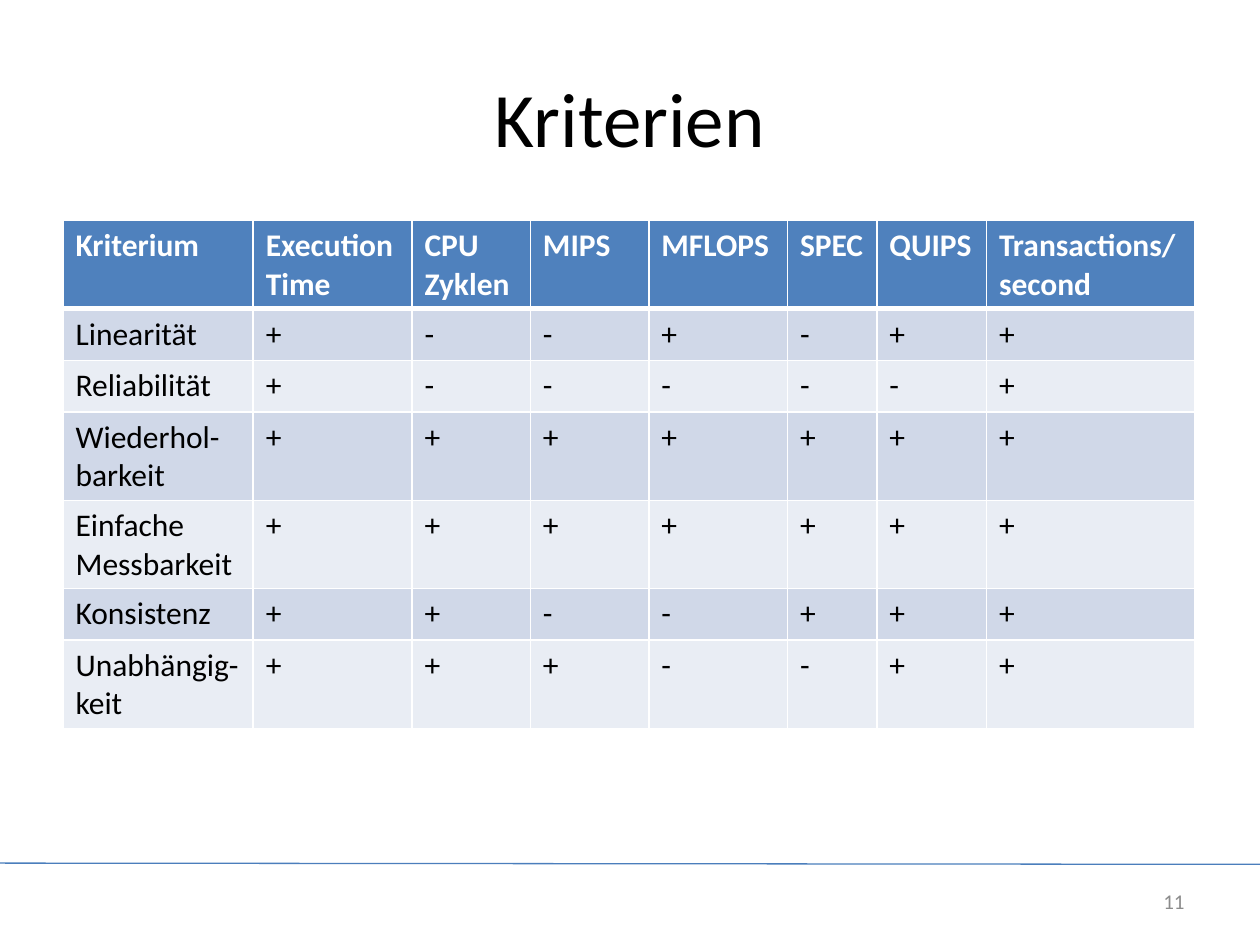
from lxml import etree
from pptx import Presentation
from pptx.dml.color import RGBColor
from pptx.enum.shapes import MSO_CONNECTOR as CONN
from pptx.enum.text import MSO_ANCHOR as ANCHOR, PP_ALIGN as ALIGN
from pptx.oxml.ns import qn
from pptx.util import Inches, Pt

FONT = "Calibri"
WHITE, BLACK = "FFFFFF", "000000"
HEADER_FILL = "4F81BD"
BAND_FILLS = ["D0D8E8", "E9EDF4"]
COL_WIDTHS = [1.51, 1.26, 0.94, 0.94, 1.1, 0.71, 0.87, 1.65]
ROW_HEIGHT = 0.41
HEADERS = ["Kriterium", "Execution Time", "CPU Zyklen", "MIPS", "MFLOPS",
           "SPEC", "QUIPS", "Transactions/second"]
RATINGS = [
    ("Linearität", "+--+-++"),
    ("Reliabilität", "+-----+"),
    ("Wiederhol-barkeit", "+++++++"),
    ("Einfache Messbarkeit", "+++++++"),
    ("Konsistenz", "++--+++"),
    ("Unabhängig-keit", "+++--++"),
]


def rgb(color):
    return RGBColor.from_string(color)


def add_run(p, text, size, color, bold=False):
    r = p.add_run()
    r.text = text
    r.font.name = FONT
    r.font.size = Pt(size)
    r.font.bold = bold
    r.font.color.rgb = rgb(color)


def add_text(s, x, y, w, h, text, size, color, align):
    tf = s.shapes.add_textbox(Inches(x), Inches(y), Inches(w), Inches(h)).text_frame
    tf.word_wrap = True
    tf.vertical_anchor = ANCHOR.MIDDLE
    p = tf.paragraphs[0]
    p.alignment = align
    add_run(p, text, size, color)


def add_line(s, x1, y1, x2, y2, color, width):
    line = s.shapes.add_connector(CONN.STRAIGHT, Inches(x1), Inches(y1),
                                  Inches(x2), Inches(y2))
    line.line.color.rgb = rgb(color)
    line.line.width = Pt(width)
    etree.SubElement(line._element.spPr, qn("a:effectLst"))


def set_borders(cell, color, top, bottom):
    tc_pr = cell._tc.get_or_add_tcPr()
    for side, width in (("L", 1), ("R", 1), ("T", top), ("B", bottom)):
        ln = etree.SubElement(tc_pr, qn(f"a:ln{side}"), w=str(Pt(width)))
        fill = etree.SubElement(ln, qn("a:solidFill"))
        etree.SubElement(fill, qn("a:srgbClr"), val=color)


def fill_cell(cell, text, row):
    header = row == 0
    set_borders(cell, WHITE, 3 if row == 1 else 1, 3 if header else 1)
    cell.fill.solid()
    cell.fill.fore_color.rgb = rgb(HEADER_FILL if header else BAND_FILLS[(row - 1) % 2])
    add_run(cell.text_frame.paragraphs[0], text, 18, WHITE if header else BLACK, header)


def add_criteria_table(s, x, y):
    rows = [HEADERS] + [[name, *marks] for name, marks in RATINGS]
    table = s.shapes.add_table(len(rows), len(HEADERS), Inches(x), Inches(y),
                               Inches(sum(COL_WIDTHS)),
                               Inches(ROW_HEIGHT * len(rows))).table
    for col, width in zip(table.columns, COL_WIDTHS):
        col.width = Inches(width)
    for i, texts in enumerate(rows):
        table.rows[i].height = Inches(ROW_HEIGHT)
        for j, text in enumerate(texts):
            fill_cell(table.cell(i, j), text, i)


def main():
    prs = Presentation()
    prs.slide_width, prs.slide_height = Inches(10), Inches(7.5)
    s = prs.slides.add_slide(prs.slide_layouts[6])
    add_line(s, 0, 6.85, 10, 6.86, "4B7EBC", 0.75)
    add_text(s, 0.5, 0.3, 9, 1.25, "Kriterien", 44, BLACK, ALIGN.CENTER)
    add_criteria_table(s, 0.5, 1.75)
    add_text(s, 8.59, 6.95, 0.91, 0.4, "11", 12, "8C8C8C", ALIGN.RIGHT)
    prs.save("out.pptx")


if __name__ == "__main__":
    main()
